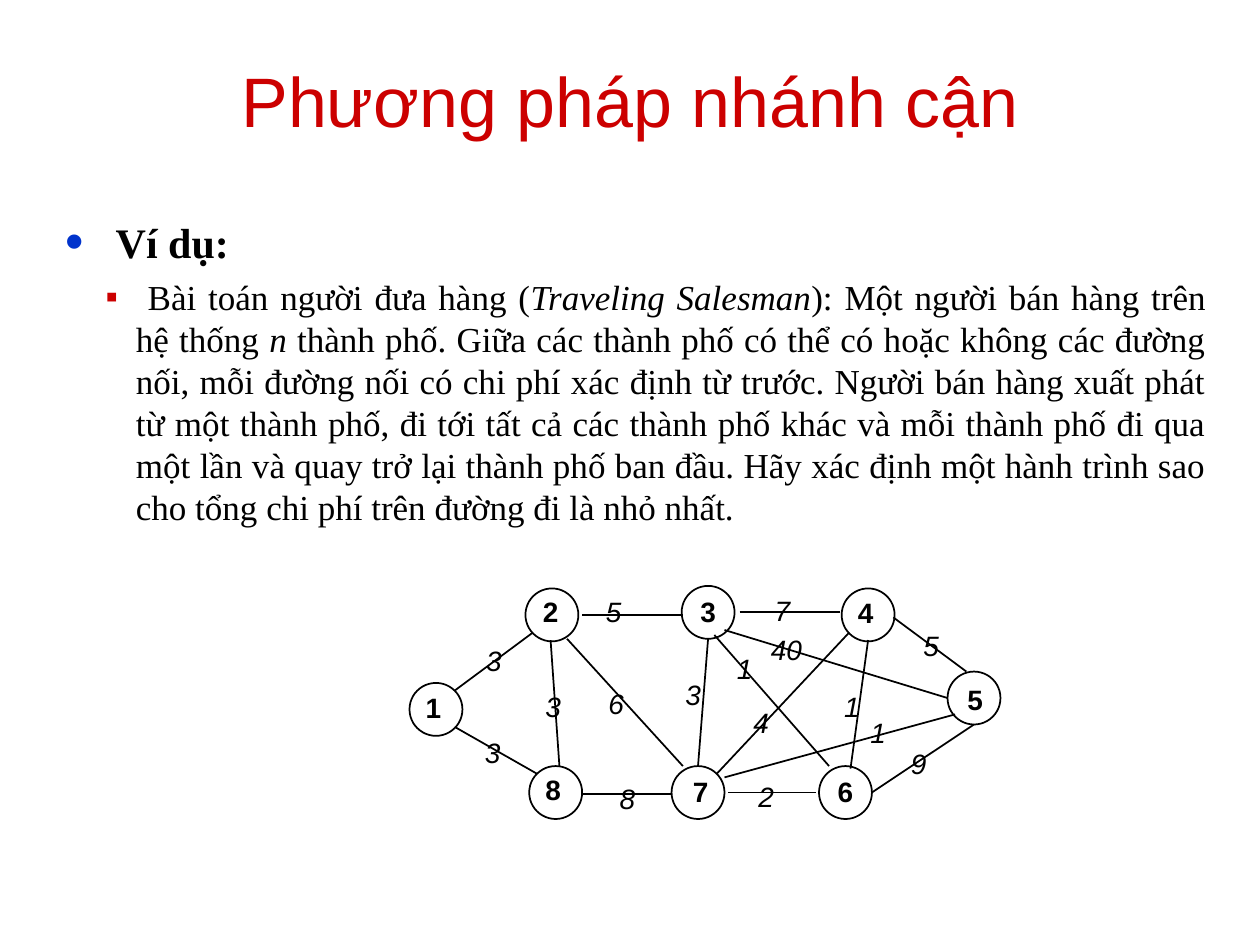
from lxml import etree
from pptx import Presentation
from pptx.dml.color import RGBColor
from pptx.enum.shapes import MSO_CONNECTOR, MSO_SHAPE
from pptx.enum.text import MSO_ANCHOR, PP_ALIGN
from pptx.oxml.ns import qn
from pptx.util import Inches, Pt

CENTER, JUSTIFY, LEFT = PP_ALIGN.CENTER, PP_ALIGN.JUSTIFY, PP_ALIGN.LEFT
MIDDLE, TOP = MSO_ANCHOR.MIDDLE, MSO_ANCHOR.TOP
OVAL, STRAIGHT = MSO_SHAPE.OVAL, MSO_CONNECTOR.STRAIGHT
COLORS = {"title": "CC0000", "text": "000000", "node": "FFFFFF", "dot": "0033CC", "square": "CC0000"}
COLUMNS, ROWS = 100, 75
NODE_SIZE = 4.2

NODES = [
    ("1", (32.5, 54.2), (32.8, 54.3)),
    ("2", (41.7, 46.7), (42.1, 46.7)),
    ("3", (54.1, 46.5), (54.6, 46.7)),
    ("4", (66.8, 46.7), (67.1, 46.8)),
    ("5", (75.2, 53.3), (75.8, 53.7)),
    ("6", (65, 60.8), (65.5, 61)),
    ("7", (53.3, 60.8), (54, 61)),
    ("8", (42, 60.8), (42.3, 60.8)),
]
ROADS = [
    ((36.1, 54.8), (42.3, 50.2), "3", (37.6, 50.6)),
    ((46.2, 48.8), (54.2, 48.8), "5", (47.1, 46.7)),
    ((58.7, 48.6), (66.7, 48.6), "7", (60.5, 46.6)),
    ((46.3, 63), (53.3, 63), "8", (48.2, 61.5)),
    ((57.8, 62.9), (64.8, 62.9), "2", (59.2, 61.4)),
    ((36.1, 57.7), (42.6, 61.4), "3", (37.5, 57.9)),
    ((70.9, 49), (76.7, 53.3), "5", (72.3, 49.4)),
    ((69.2, 62.9), (77.3, 57.5), "9", (71.3, 58.8)),
    ((45, 50.7), (54.2, 60.8), "6", (47.3, 54)),
    ((57.5, 50), (75.2, 55.4), "40", (60.2, 49.7)),
    ((56.2, 50.7), (55.4, 60.8), "3", (53.4, 53.3)),
    ((67.4, 50.2), (56.9, 61.4), "4", (58.8, 55.5)),
    ((44.4, 60.8), (43.7, 50.8), "3", (42.3, 54.2)),
    ((56.7, 50.4), (65.8, 60.8), "1", (57.5, 51.2)),
    ((57.5, 61.7), (75.8, 56.7), "1", (68.1, 56.3)),
    ((68.9, 50.8), (67.5, 61), "1", (66, 54.2)),
]


class Board:
    """Hold the slide, its grid and the style of its elements."""

    def __init__(self, width=10, height=7.5):
        self.deck = Presentation()
        self.deck.slide_width, self.deck.slide_height = Inches(width), Inches(height)
        self.column = self.deck.slide_width / COLUMNS
        self.row = self.deck.slide_height / ROWS
        self.slide = self.deck.slides.add_slide(self.deck.slide_layouts[6])

    def place(self, x, y):
        return round(x * self.column), round(y * self.row)

    def color(self, name):
        return RGBColor.from_string(COLORS[name])

    def frame(self, at, size, anchor=TOP):
        frame = self.slide.shapes.add_textbox(*self.place(*at), *self.place(*size)).text_frame
        frame.word_wrap = True
        frame.vertical_anchor = anchor
        return frame

    def add_text(self, paragraph, text, size, font="Arial", color="text", bold=False, italic=False):
        run = paragraph.add_run()
        run.text = text
        run.font.name, run.font.size = font, Pt(size)
        run.font.bold, run.font.italic = bold, italic
        run.font.color.rgb = self.color(color)

    def bullet(self, paragraph, mark, color, left, hanging, percent=100):
        properties = paragraph._p.get_or_add_pPr()
        properties.set("marL", str(round(left * self.column)))
        properties.set("indent", str(round(-hanging * self.column)))
        tint = etree.SubElement(properties, qn("a:buClr"))
        etree.SubElement(tint, qn("a:srgbClr"), val=COLORS[color])
        etree.SubElement(properties, qn("a:buSzPct"), val=str(percent * 1000))
        etree.SubElement(properties, qn("a:buFont"), typeface="Arial")
        etree.SubElement(properties, qn("a:buChar"), char=mark)

    def title(self, text):
        heading = self.frame((5, 2.5), (90, 10.8), MIDDLE).paragraphs[0]
        heading.alignment = CENTER
        self.add_text(heading, text, 40, color="title")

    def example(self, heading, pieces):
        body = self.frame((4.2, 16.7), (92.5, 55))
        lead = body.paragraphs[0]
        lead.alignment = LEFT
        self.bullet(lead, "•", "dot", 4, 4, 125)
        self.add_text(lead, heading, 24, "Times New Roman", bold=True)
        problem = body.add_paragraph()
        problem.alignment, problem.level, problem.space_before = JUSTIFY, 1, Pt(5)
        self.bullet(problem, "▪", "square", 5.6, 2.4)
        for text, italic in pieces:
            self.add_text(problem, text, 20, "Times New Roman", italic=italic)

    def label(self, text, at, bold=False, italic=False):
        width = 4.2 if len(text) == 1 else 5.3
        number = self.frame(at, (width, 3.7)).paragraphs[0]
        self.add_text(number, text, 16, bold=bold, italic=italic)

    def node(self, name, at, label_at):
        city = self.slide.shapes.add_shape(OVAL, *self.place(*at), *self.place(NODE_SIZE, NODE_SIZE))
        city.shadow.inherit = False
        city.fill.solid()
        city.fill.fore_color.rgb = self.color("node")
        city.line.color.rgb, city.line.width = self.color("text"), Pt(1)
        self.label(name, label_at, bold=True)

    def road(self, start, end, cost, cost_at):
        road = self.slide.shapes.add_connector(STRAIGHT, *self.place(*start), *self.place(*end))
        road.line.color.rgb, road.line.width = self.color("text"), Pt(1)
        etree.SubElement(road._element.spPr, qn("a:effectLst"))
        self.label(cost, cost_at, italic=True)


def main():
    board = Board()
    board.title("Phương pháp nhánh cận")
    board.example("Ví dụ:", [
        (" Bài toán người đưa hàng (", False),
        ("Traveling Salesman", True),
        ("): Một người bán hàng trên hệ thống ", False),
        ("n", True),
        (" thành phố. Giữa các thành phố có thể có hoặc không các đường nối, "
         "mỗi đường nối có chi phí xác định từ trước. Người bán hàng xuất phát từ một thành phố, "
         "đi tới tất cả các thành phố khác và mỗi thành phố đi qua một lần và quay trở lại "
         "thành phố ban đầu. Hãy xác định một hành trình sao cho tổng chi phí trên đường đi "
         "là nhỏ nhất.", False),
    ])
    for city in NODES:
        board.node(*city)
    for road in ROADS:
        board.road(*road)
    board.deck.save("out.pptx")


if __name__ == "__main__":
    main()
